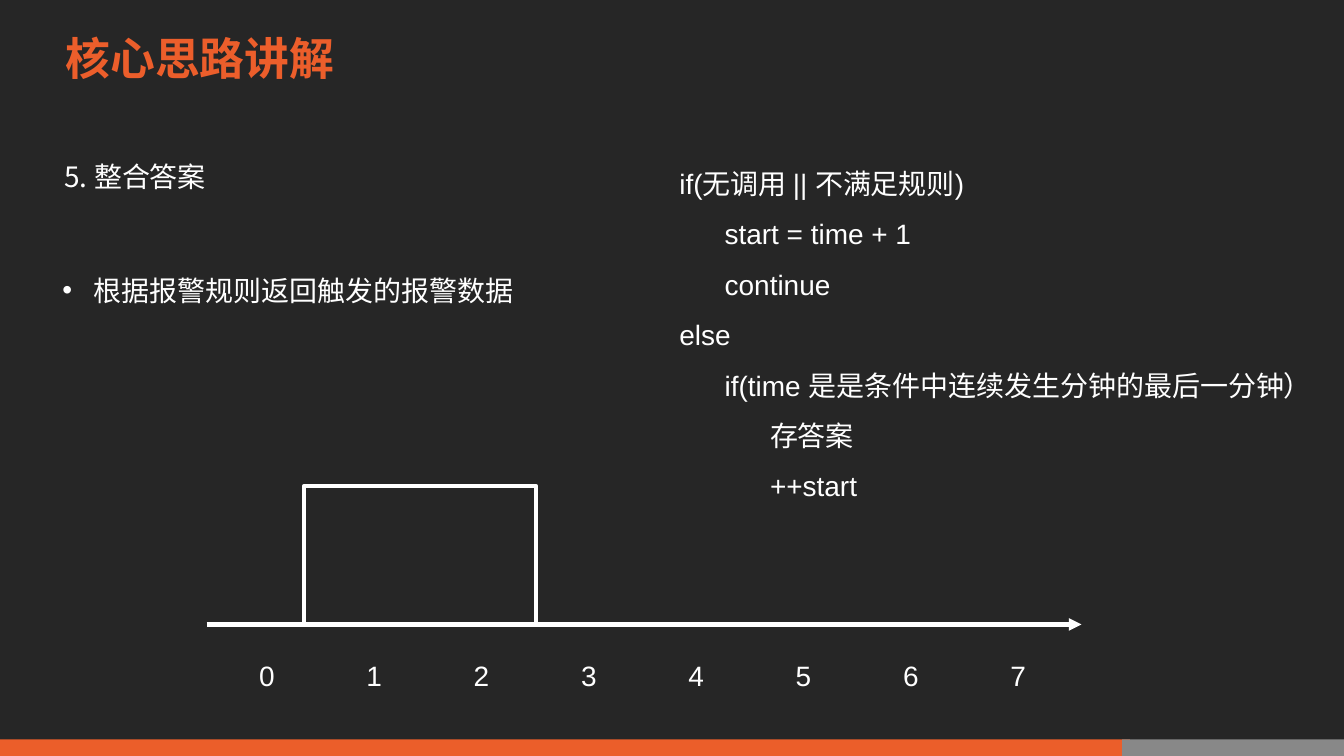
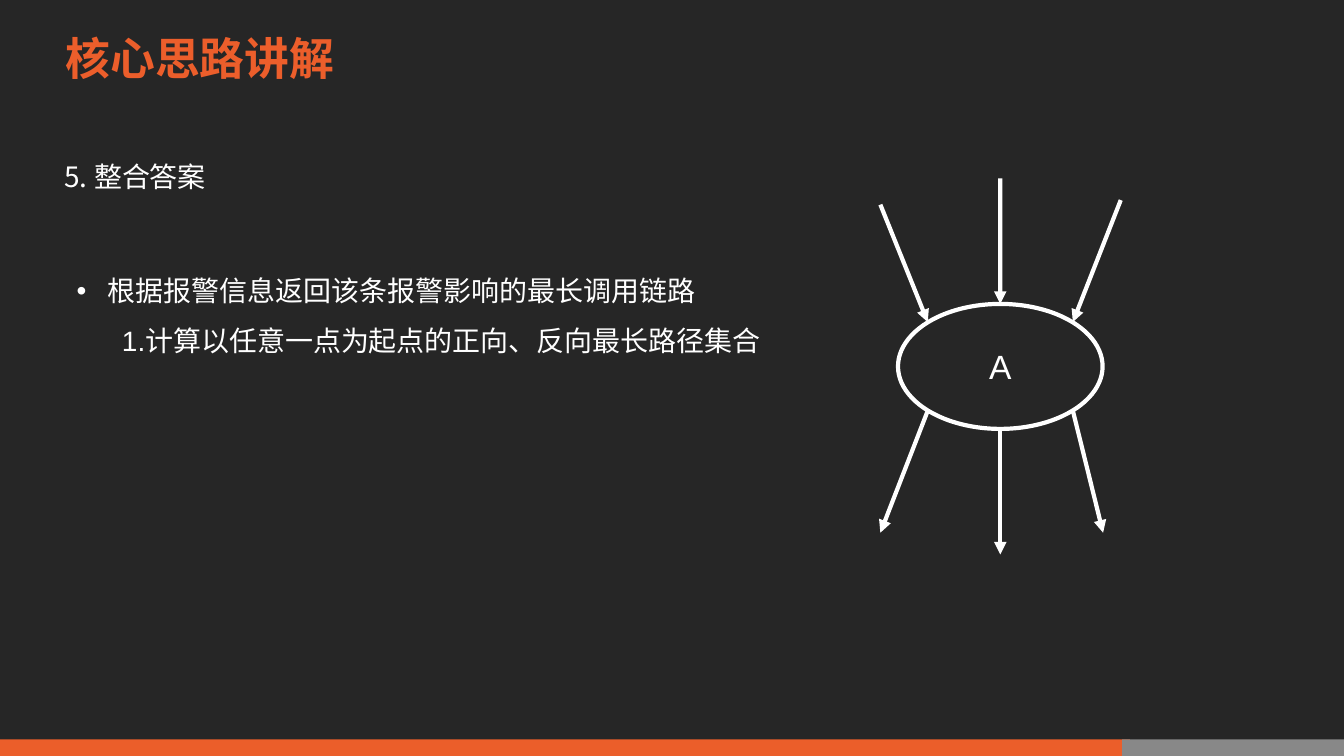
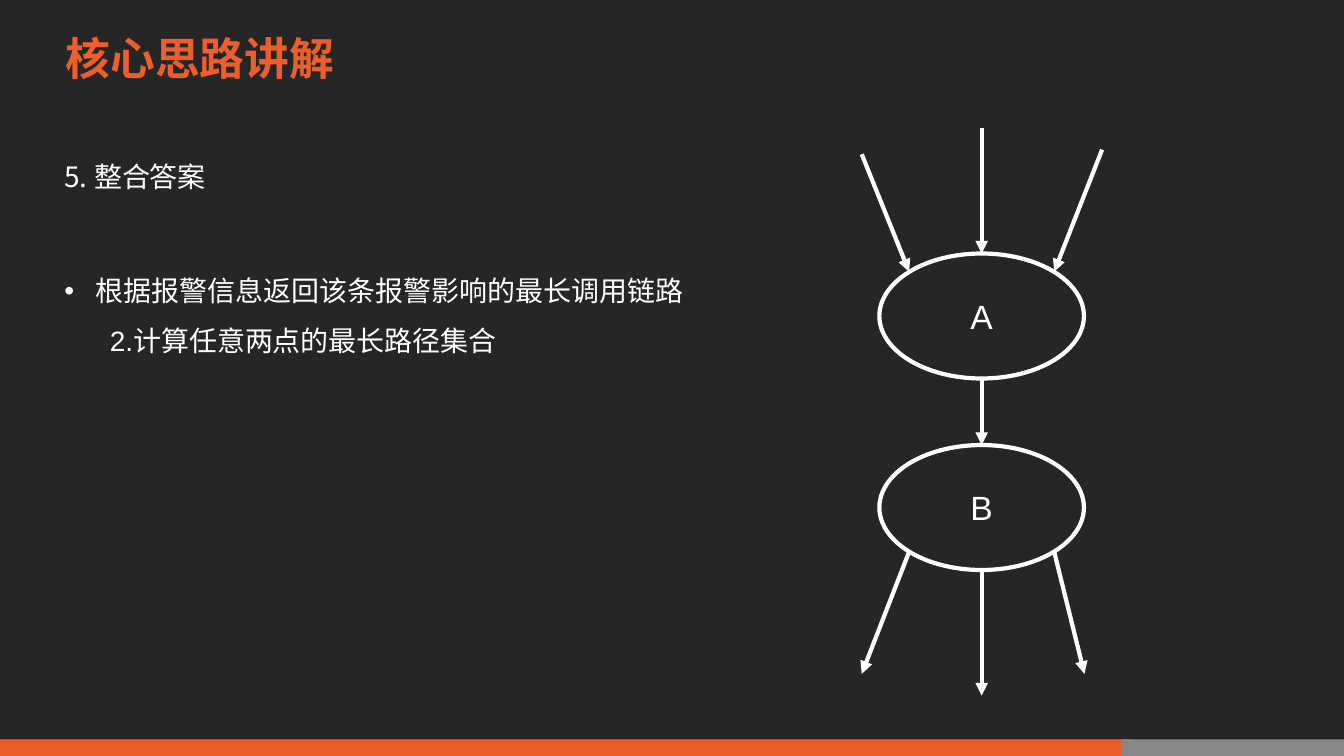
from lxml.etree import SubElement
from pptx import Presentation
from pptx.dml.color import RGBColor
from pptx.enum.shapes import MSO_CONNECTOR, MSO_SHAPE
from pptx.enum.text import MSO_ANCHOR, MSO_AUTO_SIZE, PP_ALIGN
from pptx.oxml.ns import qn
from pptx.util import Inches, Pt

COLORS = {
    "background": "262626",
    "title": "EC5E2B",
    "band": "EB5E2A",
    "band_end": "888888",
    "white": "FFFFFF",
}
LATIN_FONT = "Arial"
CHINESE_FONT = "Noto Sans CJK SC"
LINE_WIDTH = Pt(6)
INDENT = 0.9
BULLET_INDENT = 0.62
INSET = 0.06

TITLE = "核心思路讲解"
HEADING = "5. 整合答案"
BANDS = [(0, 22.42, "band"), (22.27, 4.4, "band_end")]

ALARM_POINTS = [("•", 0, "根据报警规则返回触发的报警数据")]
CHAIN_POINT = ("•", 0, "根据报警信息返回该条报警影响的最长调用链路")
ONE_NODE_POINTS = [CHAIN_POINT, ("", 1, "1.计算以任意一点为起点的正向、反向最长路径集合")]
TWO_NODE_POINTS = [CHAIN_POINT, ("", 1, "2.计算任意两点的最长路径集合")]
PSEUDOCODE = [
    ("", 0, "if(无调用 || 不满足规则)"),
    ("", 1, "start = time + 1"),
    ("", 1, "continue"),
    ("", 0, "else"),
    ("", 1, "if(time 是是条件中连续发生分钟的最后一分钟）"),
    ("", 2, "存答案"),
    ("", 2, "++start"),
]

TICKS = range(8)
TICK_LEFT, TICK_STEP = 5.08, 2.13
AXIS_TOP = 12.39

NODE_WIDTH, NODE_HEIGHT = 4.06, 2.48
SIDE_X, SIDE_Y = 1.44, 0.36
CALLERS = [(-2.38, 1.97), (2.39, 2.06)]
CALLEES = [(-2.38, 2.06), (2.04, 2.06)]
STRAIGHT_REACH = 2.49


def color(name):
    return RGBColor.from_string(COLORS[name])


def format_runs(paragraph, size, color_name="white", font=LATIN_FONT, bold=False):
    for run in paragraph.runs:
        run.font.size = Pt(size)
        run.font.bold = bold
        run.font.color.rgb = color(color_name)
        run.font.name = font
        SubElement(run._r.get_or_add_rPr(), qn("a:ea")).set("typeface", CHINESE_FONT)


def set_frame(frame, inset=INSET, anchor=MSO_ANCHOR.MIDDLE, wrap=True):
    frame.margin_left = frame.margin_right = Inches(inset)
    frame.margin_top = frame.margin_bottom = Inches(inset)
    frame.vertical_anchor = anchor
    frame.word_wrap = wrap


def add_text(slide, left, top, width, height, lines,
             spacing=1.5, font=LATIN_FONT, anchor=MSO_ANCHOR.MIDDLE):
    box = slide.shapes.add_textbox(Inches(left), Inches(top), Inches(width), Inches(height))
    frame = box.text_frame
    set_frame(frame, anchor=anchor)
    frame.auto_size = MSO_AUTO_SIZE.SHAPE_TO_FIT_TEXT
    for index, (bullet, level, text) in enumerate(lines):
        paragraph = frame.paragraphs[0] if index == 0 else frame.add_paragraph()
        paragraph.text = text
        paragraph.line_spacing = spacing
        format_runs(paragraph, 40, font=font)
        properties = paragraph._p.get_or_add_pPr()
        hanging = BULLET_INDENT if bullet else 0
        properties.set("marL", str(Inches(level * INDENT + hanging)))
        properties.set("indent", str(Inches(-hanging)))
        if bullet:
            SubElement(properties, qn("a:buFont")).set("typeface", LATIN_FONT)
            SubElement(properties, qn("a:buChar")).set("char", bullet)


def add_arrow(slide, start, end, target=None):
    points = [Inches(value) for value in (*start, *end)]
    arrow = slide.shapes.add_connector(MSO_CONNECTOR.STRAIGHT, *points)
    if target is not None:
        arrow.end_connect(target, 0)
    arrow.line.color.rgb = color("white")
    arrow.line.width = LINE_WIDTH
    SubElement(arrow.line._get_or_add_ln(), qn("a:tailEnd")).set("type", "triangle")
    SubElement(arrow._element.spPr, qn("a:effectLst"))


def add_outline(slide, preset, left, top, width, height):
    shape = slide.shapes.add_shape(
        preset, Inches(left), Inches(top), Inches(width), Inches(height))
    shape.shadow.inherit = False
    shape.fill.background()
    shape.line.color.rgb = color("white")
    shape.line.width = LINE_WIDTH
    return shape


def add_node(slide, center, top, name):
    node = add_outline(slide, MSO_SHAPE.OVAL, center - NODE_WIDTH / 2, top,
                       NODE_WIDTH, NODE_HEIGHT)
    set_frame(node.text_frame)
    paragraph = node.text_frame.paragraphs[0]
    paragraph.text = name
    paragraph.alignment = PP_ALIGN.CENTER
    format_runs(paragraph, 48)
    return node


def add_graph(slide, center, top, names, step=3.8):
    nodes = [add_node(slide, center, top + index * step, name)
             for index, name in enumerate(names)]
    bottom = top + (len(names) - 1) * step + NODE_HEIGHT
    add_arrow(slide, (center, top - STRAIGHT_REACH), (center, top), nodes[0])
    for index, node in enumerate(nodes[1:], 1):
        node_top = top + index * step
        add_arrow(slide, (center, node_top - step + NODE_HEIGHT), (center, node_top), node)
    add_arrow(slide, (center, bottom), (center, bottom + STRAIGHT_REACH))
    for side, caller, callee in zip((-SIDE_X, SIDE_X), CALLERS, CALLEES):
        add_arrow(slide, (center + caller[0], top - caller[1]),
                  (center + side, top + SIDE_Y))
        add_arrow(slide, (center + side, bottom - SIDE_Y),
                  (center + callee[0], bottom + callee[1]))


def add_timeline(slide):
    add_arrow(slide, (4.1, AXIS_TOP), (21.46, AXIS_TOP))
    add_outline(slide, MSO_SHAPE.RECTANGLE, 6.03, 9.65, 4.61, AXIS_TOP - 9.65)
    for tick in TICKS:
        add_text(slide, TICK_LEFT + tick * TICK_STEP, 12.67, 0.52, 1.12,
                 [("", 0, str(tick))])


def add_slide(presentation):
    slide = presentation.slides.add_slide(presentation.slide_layouts[5])
    title = slide.shapes.title
    title.left, title.top = Inches(1.22), Inches(0.56)
    title.width, title.height = Inches(5.49), Inches(1.18)
    title.text_frame.text = TITLE
    set_frame(title.text_frame, inset=0.05, anchor=MSO_ANCHOR.TOP, wrap=False)
    title.text_frame.auto_size = MSO_AUTO_SIZE.SHAPE_TO_FIT_TEXT
    paragraph = title.text_frame.paragraphs[0]
    paragraph.alignment = PP_ALIGN.CENTER
    format_runs(paragraph, 64, "title", CHINESE_FONT, True)
    add_text(slide, 1.22, 2.88, 3.24, 1.01, [("", 0, HEADING)],
             Pt(64), CHINESE_FONT, MSO_ANCHOR.TOP)
    return slide


def move_bands_to_layout(slide):
    layout = slide.slide_layout
    for placeholder in list(layout.placeholders)[1:]:
        layout.shapes._spTree.remove(placeholder._element)
    bands = []
    for left, width, name in BANDS:
        band = slide.shapes.add_shape(
            MSO_SHAPE.RECTANGLE, Inches(left), Inches(14.67), Inches(width), Inches(0.33))
        band.shadow.inherit = False
        band.fill.solid()
        band.fill.fore_color.rgb = color(name)
        band.line.fill.background()
        bands.append(band)
    for band in bands:
        layout.shapes._spTree.append(band._element)


def main():
    presentation = Presentation()
    presentation.slide_width = Inches(26.67)
    presentation.slide_height = Inches(15)
    background = presentation.slide_master.background.fill
    background.solid()
    background.fore_color.rgb = color("background")

    alarm_slide = add_slide(presentation)
    move_bands_to_layout(alarm_slide)
    add_text(alarm_slide, 1.18, 5.03, 9.26, 1.12, ALARM_POINTS)
    add_timeline(alarm_slide)
    add_text(alarm_slide, 13.42, 2.88, 13.25, 7.18, PSEUDOCODE)

    one_node_slide = add_slide(presentation)
    add_text(one_node_slide, 1.46, 5.03, 13.99, 2.13, ONE_NODE_POINTS)
    add_graph(one_node_slide, 19.85, 6.03, ["A"])

    two_node_slide = add_slide(presentation)
    add_text(two_node_slide, 1.22, 5.03, 14.23, 2.13, TWO_NODE_POINTS)
    add_graph(two_node_slide, 19.48, 5.03, ["A", "B"])

    presentation.save("out.pptx")


if __name__ == "__main__":
    main()
